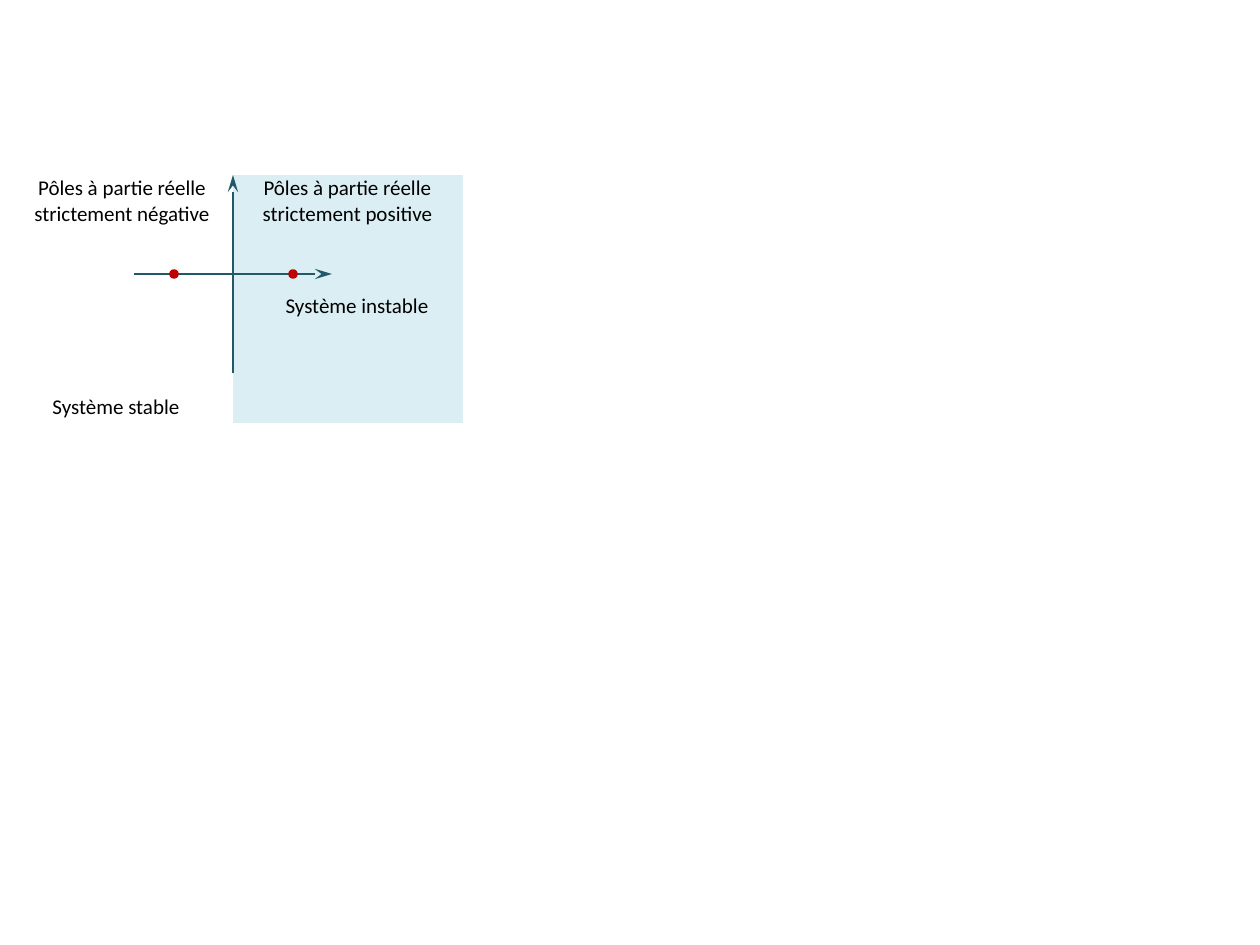
from lxml import etree
from pptx import Presentation
from pptx.dml.color import RGBColor
from pptx.enum.shapes import MSO_CONNECTOR, MSO_SHAPE
from pptx.enum.text import MSO_AUTO_SIZE, PP_ALIGN
from pptx.oxml.ns import qn
from pptx.util import Emu, Pt

RECTANGLE = MSO_SHAPE.RECTANGLE
OVAL = MSO_SHAPE.OVAL
STRAIGHT = MSO_CONNECTOR.STRAIGHT
CENTER = PP_ALIGN.CENTER
FIT_TEXT = MSO_AUTO_SIZE.SHAPE_TO_FIT_TEXT

PALE_BLUE = RGBColor(0xDB, 0xEE, 0xF4)
TEAL = RGBColor(0x21, 0x59, 0x68)
RED = RGBColor(0xC0, 0x00, 0x00)
BLACK = RGBColor(0x00, 0x00, 0x00)

PX_PER_INCH = 126
ORIGIN_X, ORIGIN_Y = 233, 274
AXIS_REACH = 99
TOP = ORIGIN_Y - AXIS_REACH
POLE_SIZE = 6


def px(length):
    return Emu(round(length * 914400 / PX_PER_INCH))


def add_filled_shape(slide, kind, left, top, width, height, color):
    shape = slide.shapes.add_shape(kind, px(left), px(top), px(width), px(height))
    shape.shadow.inherit = False
    shape.fill.solid()
    shape.fill.fore_color.rgb = color
    shape.line.fill.background()
    return shape


def add_axis(slide, x1, y1, x2, y2):
    axis = slide.shapes.add_connector(STRAIGHT, px(x1), px(y1), px(x2), px(y2))
    axis.line.color.rgb = TEAL
    axis.line.width = Pt(1.5)
    properties = axis._element.spPr
    line = properties.find(qn("a:ln"))
    etree.SubElement(line, qn("a:tailEnd"), type="stealth", w="med", len="lg")
    etree.SubElement(properties, qn("a:effectLst"))


def add_pole(slide, x):
    half = POLE_SIZE / 2
    pole = add_filled_shape(slide, OVAL, x - half, ORIGIN_Y - half,
                            POLE_SIZE, POLE_SIZE, RED)
    pole.line.color.rgb = RED
    pole.line.width = Pt(2)


def add_label(slide, text, left, top, width, height):
    box = slide.shapes.add_textbox(px(left), px(top), px(width), px(height))
    frame = box.text_frame
    frame.word_wrap = True
    frame.auto_size = FIT_TEXT
    frame.margin_left = frame.margin_right = 0
    frame.margin_top = frame.margin_bottom = 0
    paragraph = frame.paragraphs[0]
    paragraph.text = text
    paragraph.alignment = CENTER
    paragraph.font.name = "Calibri"
    paragraph.font.size = Pt(12)
    paragraph.font.color.rgb = BLACK


def main():
    presentation = Presentation()
    presentation.slide_width = px(1260)
    presentation.slide_height = px(945)
    slide = presentation.slides.add_slide(presentation.slide_layouts[6])

    add_filled_shape(slide, RECTANGLE, ORIGIN_X, TOP, 230, 248, PALE_BLUE)
    add_axis(slide, ORIGIN_X, ORIGIN_Y + AXIS_REACH, ORIGIN_X, TOP)
    add_axis(slide, ORIGIN_X - AXIS_REACH, ORIGIN_Y, ORIGIN_X + AXIS_REACH, ORIGIN_Y)
    for x in (174, 293):
        add_pole(slide, x)

    add_label(slide, "Pôles à partie réelle strictement positive", 248, TOP, 199, 51)
    add_label(slide, "Système instable", 252, 293, 210, 25)
    add_label(slide, "Système stable", 11, 394, 210, 25)
    add_label(slide, "Pôles à partie réelle strictement négative", 11, TOP, 222, 51)

    presentation.save("out.pptx")


if __name__ == "__main__":
    main()
